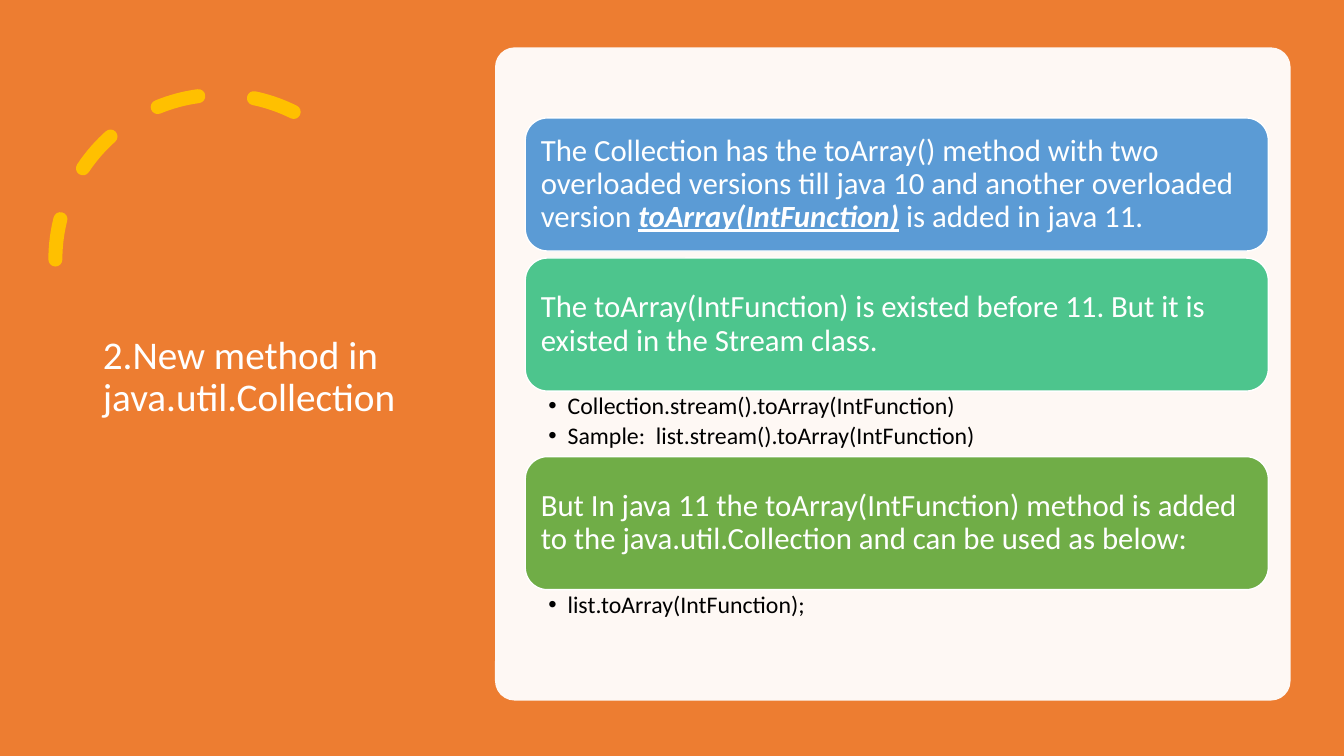
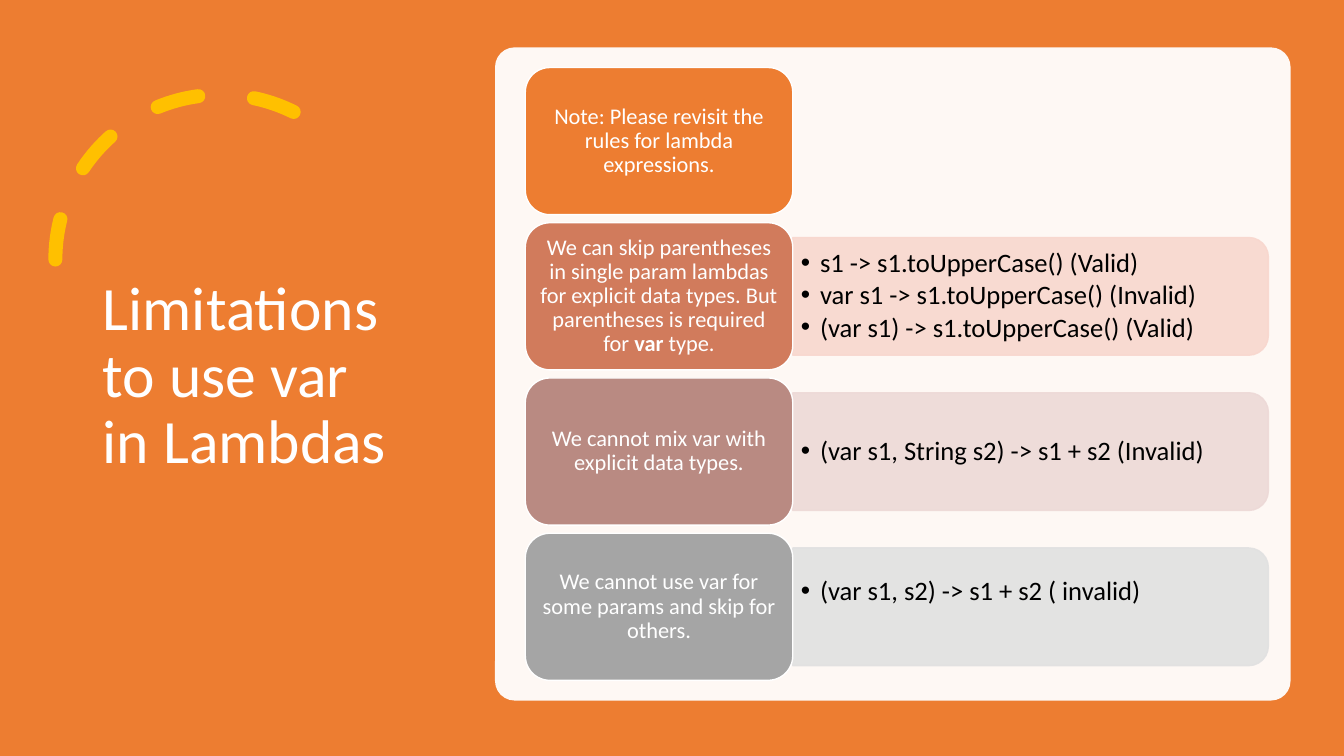
import pptx
import pptx.util
from lxml import etree
from pptx.dml.color import RGBColor
from pptx.enum.dml import MSO_LINE
from pptx.enum.shapes import MSO_SHAPE
from pptx.enum.text import MSO_ANCHOR, MSO_AUTO_SIZE, PP_ALIGN
from pptx.oxml.ns import qn
from pptx.util import Inches, Pt

FONT = "Calibri"
ORANGE, GOLD, WHITE, BLACK = "ED7D31", "FFC000", "FFFFFF", "000000"

# Each paragraph is a list of (text, style) spans; style letters: b, i, u
METHOD_TITLE = "2.New method in java.util.Collection"
METHOD_STEPS = [
    ("5B9BD5", [("The Collection has the toArray() method with two overloaded versions "
                 "till java 10 and another overloaded version ", ""),
                ("toArray(IntFunction)", "biu"),
                (" is added in java 11.", "")], []),
    ("4DC58D", [("The toArray(IntFunction) is existed before 11. "
                 "But it is existed in the Stream class.", "")],
     ["Collection.stream().toArray(IntFunction)",
      "Sample:  list.stream().toArray(IntFunction)"]),
    ("70AD47", [("But In java 11 the toArray(IntFunction) method is added to the "
                 "java.util.Collection and can be used as below:", "")],
     ["list.toArray(IntFunction);"]),
]

# Label colour, label spans, detail colour, detail bullets, upward shift of the bullets
LIMITS_TITLE = "Limitations to use var in Lambdas"
LIMITS = [
    (ORANGE, [("Note: Please revisit the rules for lambda expressions.", "")],
     None, [], 0),
    ("D17B5C", [("We can skip parentheses in single param lambdas for explicit data "
                 "types. But parentheses is required for ", ""),
                ("var", "b"), (" type.", "")],
     "F8D7CE", ["s1 -> s1.toUpperCase() (Valid)",
                "var s1 -> s1.toUpperCase() (Invalid)",
                "(var s1) -> s1.toUpperCase() (Valid)"], 0),
    ("B98A82", [("We cannot mix var with explicit data types.", "")],
     "EDD9D7", ["(var s1, String s2) -> s1 + s2 (Invalid)"], 0),
    ("A5A5A5", [("We cannot use var for some params and skip for others.", "")],
     "E1E1E1", ["(var s1, s2) -> s1 + s2 ( invalid)"], 0.15),
]

CONTENT_LEFT, CONTENT_WIDTH = 5.21, 7.37


def rgb(value):
    return RGBColor.from_string(value)


def place(left, top, width, height):
    return [Inches(value) for value in (left, top, width, height)]


def add_block(page, kind, area, fill=None, line=None, line_width=1, opacity=None):
    """Add a preset shape without shadow; opacity is a percentage for fill and line."""
    shape = page.shapes.add_shape(kind, *place(*area))
    shape.shadow.inherit = False
    if fill:
        shape.fill.solid()
        shape.fill.fore_color.rgb = rgb(fill)
    else:
        shape.fill.background()
    if line:
        shape.line.color.rgb = rgb(line)
        shape.line.width = Pt(line_width)
    else:
        shape.line.fill.background()
    if opacity:
        for color in shape.element.spPr.iter(qn("a:srgbClr")):
            etree.SubElement(color, qn("a:alpha")).set("val", str(opacity * 1000))
    return shape


def write(frame, paragraphs, size, color, margins, align=PP_ALIGN.LEFT,
          anchor=MSO_ANCHOR.MIDDLE, bullets=False, gap=0):
    """Fill a text frame; margins are left, top, right, bottom in inches."""
    frame.word_wrap = True
    frame.auto_size = MSO_AUTO_SIZE.NONE
    frame.vertical_anchor = anchor
    (frame.margin_left, frame.margin_top,
     frame.margin_right, frame.margin_bottom) = place(*margins)
    for index, spans in enumerate(paragraphs):
        para = frame.add_paragraph() if index else frame.paragraphs[0]
        if bullets:
            properties = para._p.get_or_add_pPr()
            properties.set("marL", str(Inches(0.19)))
            properties.set("indent", str(-Inches(0.19)))
            etree.SubElement(properties, qn("a:buFont")).set("typeface", "Arial")
            etree.SubElement(properties, qn("a:buChar")).set("char", "•")
        para.alignment = align
        para.line_spacing = 0.9
        para.space_before = Pt(0)
        para.space_after = Pt(gap)
        for text, style in spans:
            span = para.add_run()
            span.text = text
            span.font.name = FONT
            span.font.size = Pt(size)
            span.font.color.rgb = rgb(color)
            span.font.bold = "b" in style
            span.font.italic = "i" in style
            span.font.underline = "u" in style


def add_bullets(page, area, lines, size, margins, anchor, gap):
    box = page.shapes.add_textbox(*place(*area))
    write(box.text_frame, [[(line, "")] for line in lines], size, BLACK, margins,
          anchor=anchor, bullets=True, gap=gap)


def add_page(deck, title, title_size):
    """Add a slide with the title, the dashed arc and the pale panel."""
    page = deck.slides.add_slide(deck.slide_layouts.get_by_name("Title Only"))
    heading = page.shapes.title
    heading.left, heading.top, heading.width, heading.height = place(0.92, 0.7, 3.23, 6.09)
    write(heading.text_frame, [[(title, "")]], title_size, WHITE, (0.1, 0.05, 0.1, 0.05))

    arc = add_block(page, MSO_SHAPE.ARC, (0.55, 0.94, 3.27, 3.27), line=GOLD, line_width=10)
    arc.adjustments[0], arc.adjustments[1] = 146.13, 0
    arc.line.dash_style = MSO_LINE.DASH
    arc.element.spPr.find(qn("a:ln")).set("cap", "rnd")
    arc.element.spPr.find(qn("a:xfrm")).set("flipH", "1")

    panel = add_block(page, MSO_SHAPE.ROUNDED_RECTANGLE, (4.91, 0.47, 7.89, 6.48),
                      fill=WHITE, opacity=95)
    panel.adjustments[0] = 0.03
    return page


def build_method_page(deck):
    page = add_page(deck, METHOD_TITLE, 28)
    top, step_height, gap = 1.17, 1.32, 0.07
    for color, spans, lines in METHOD_STEPS:
        step = add_block(page, MSO_SHAPE.ROUNDED_RECTANGLE,
                         (CONTENT_LEFT, top, CONTENT_WIDTH, step_height), color, WHITE)
        write(step.text_frame, [spans], 22, WHITE, [0.09] * 4)
        top += step_height
        if lines:
            height = 0.15 + 0.25 * len(lines)
            add_bullets(page, (CONTENT_LEFT, top, CONTENT_WIDTH, height), lines, 17,
                        (0.23, 0.03, 0.17, 0.03), MSO_ANCHOR.TOP, 2.8)
            top += height
        else:
            top += gap


def build_limits_page(deck):
    page = add_page(deck, LIMITS_TITLE, 44)
    first_top, row_height, gap = 0.67, 1.46, 0.08
    label_width = 0.36 * CONTENT_WIDTH
    detail_left = CONTENT_LEFT + label_width
    detail_width = CONTENT_WIDTH - label_width
    detail_height = 0.8 * row_height
    for row, (color, spans, detail_color, lines, lift) in enumerate(LIMITS):
        top = first_top + row * (row_height + gap)
        if lines:
            middle = top + row_height / 2
            # Turned a quarter, so its width runs down the slide
            detail = add_block(page, MSO_SHAPE.ROUND_2_SAME_RECTANGLE,
                               (detail_left + (detail_width - detail_height) / 2,
                                middle - detail_width / 2, detail_height, detail_width),
                               detail_color, detail_color, opacity=90)
            detail.rotation = 90
            add_bullets(page, (detail_left, middle - 0.53, detail_width - 0.05, 1.06),
                        lines, 19, (0.08, 0.04, 0.08, 0.04 + 2 * lift),
                        MSO_ANCHOR.MIDDLE, 2.4)
        label = add_block(page, MSO_SHAPE.ROUNDED_RECTANGLE,
                          (CONTENT_LEFT, top, label_width, row_height), color, WHITE)
        write(label.text_frame, [spans], 16, WHITE, (0.07, 0.03, 0.07, 0.03),
              align=PP_ALIGN.CENTER)


def main():
    deck = pptx.Presentation()
    deck.slide_width, deck.slide_height = Inches(13.33), Inches(7.5)
    backdrop = deck.slide_master.background.fill
    backdrop.solid()
    backdrop.fore_color.rgb = rgb(ORANGE)
    build_method_page(deck)
    build_limits_page(deck)
    deck.save("out.pptx")


if __name__ == "__main__":
    main()
